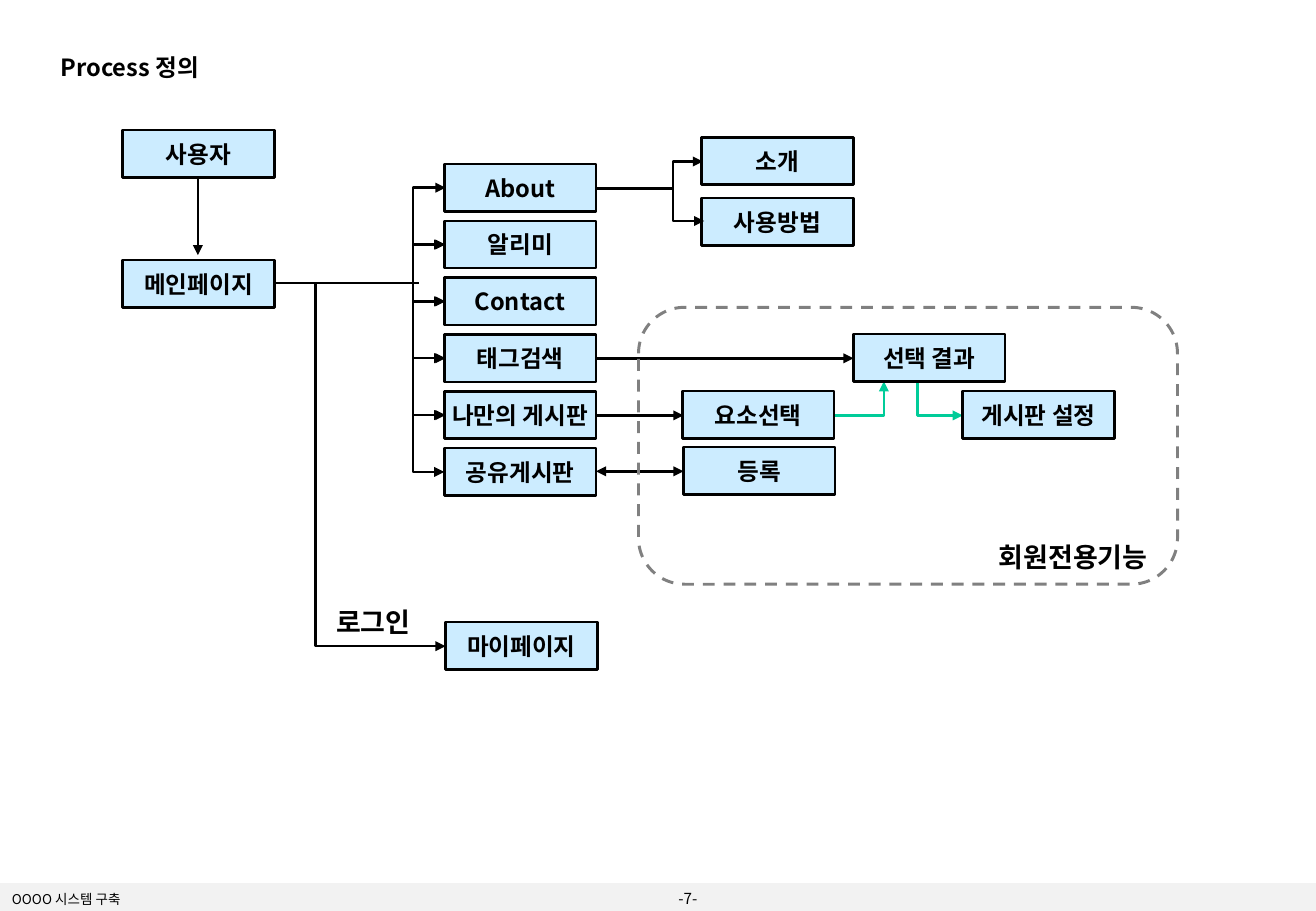
from lxml import etree
from pptx import Presentation
from pptx.dml.color import RGBColor
from pptx.enum.dml import MSO_LINE
from pptx.enum.shapes import MSO_CONNECTOR as CONN, MSO_SHAPE as SHAPE
from pptx.enum.text import MSO_ANCHOR, PP_ALIGN
from pptx.oxml.ns import qn
from pptx.util import Inches, Pt

FONT = "Noto Sans CJK KR"
BLACK, GREEN, GREY = "000000", "00CC99", "808080"
BOX_FILL, FOOTER_FILL = "CCECFF", "F2F2F2"
BOX_W, BOX_H = 1.25, 0.39
MENU_X, MENU_Y, MENU_STEP = 3.66, 1.35, 0.468
TRUNK_X = 3.4

MENU = ["About", "알리미", "Contact", "태그검색", "나만의 게시판", "공유게시판"]

# text, left, top
BOXES = [
    ("사용자", 1.01, 1.07),
    ("메인페이지", 1.01, 2.14),
    ("소개", 5.78, 1.13),
    ("사용방법", 5.78, 1.63),
    ("선택 결과", 7.03, 2.75),
    ("요소선택", 5.62, 3.22),
    ("게시판 설정", 7.93, 3.22),
    ("등록", 5.63, 3.68),
    ("마이페이지", 3.67, 5.12),
] + [(name, MENU_X, MENU_Y + i * MENU_STEP) for i, name in enumerate(MENU)]

# text, left, top, width, height, size, bold, anchor
LABELS = [
    ("Process 정의", 0.4, 0.39, 1.39, 0.34, 14, True, MSO_ANCHOR.TOP),
    ("로그인", 2.67, 4.94, 0.81, 0.37, 16, True, MSO_ANCHOR.TOP),
    ("회원전용기능", 8.13, 4.4, 1.42, 0.37, 16, True, MSO_ANCHOR.TOP),
    ("-7-", 5.49, 7.29, 0.47, 0.21, 9, False, MSO_ANCHOR.MIDDLE),
    ("OOOO 시스템 구축", 0, 7.3, 4.88, 0.21, 8, False, MSO_ANCHOR.MIDDLE),
]

# start, end, arrowheads
STRAIGHT = [
    ((1.63, 1.46), (1.63, 2.1), "tail"),
    ((2.26, 2.33), (3.45, 2.33), ""),
    ((4.91, 1.55), (5.54, 1.55), ""),
    ((4.91, 2.95), (7.03, 2.95), "tail"),
    ((4.91, 3.42), (5.63, 3.42), "tail"),
    ((4.91, 3.88), (5.63, 3.88), "head tail"),
]

# start, end, x of the upright part
menu_mids = [MENU_Y + i * MENU_STEP + BOX_H / 2 for i in range(len(MENU))]
BRACKETS = [((MENU_X + 0.01, upper), (MENU_X, lower), TRUNK_X)
            for upper, lower in zip(menu_mids, menu_mids[1:])]
BRACKETS.append(((5.8, 1.82), (5.79, 1.33), 5.54))


def rgb(value):
    return RGBColor.from_string(value)


def write(shape, text, size, bold, anchor, align):
    tf = shape.text_frame
    tf.word_wrap = False
    tf.vertical_anchor = anchor
    p = tf.paragraphs[0]
    p.text = text
    p.alignment = align
    font = p.font
    font.name, font.size, font.bold = FONT, Pt(size), bold
    font.color.rgb = rgb(BLACK)
    etree.SubElement(font._element, qn("a:ea"), typeface=FONT)


def add_block(kind, x, y, w, h, fill=None, line=None, width=1.5):
    block = s.shapes.add_shape(kind, Inches(x), Inches(y), Inches(w), Inches(h))
    block.shadow.inherit = False
    if fill:
        block.fill.solid()
        block.fill.fore_color.rgb = rgb(fill)
    else:
        block.fill.background()
    if line:
        block.line.color.rgb = rgb(line)
        block.line.width = Pt(width)
    else:
        block.line.fill.background()
    return block


def link(start, end, arrows, color=BLACK, bend_x=None):
    """Draw a connector; bend_x is where an elbow turns, at end's x for a single turn."""
    kind = CONN.STRAIGHT if bend_x is None else CONN.ELBOW
    c = s.shapes.add_connector(kind, *map(Inches, start + end))
    c.line.color.rgb = rgb(color)
    c.line.width = Pt(1.5)
    ln = c.line._ln
    for side in arrows.split():
        etree.SubElement(ln, qn(f"a:{side}End"), type="triangle")
    etree.SubElement(c._element.spPr, qn("a:effectLst"))
    if bend_x is None:
        return
    geom = c._element.spPr.find(qn("a:prstGeom"))
    if bend_x == end[0]:
        geom.set("prst", "bentConnector2")
        return
    guides = geom.find(qn("a:avLst"))
    if guides is None:
        guides = etree.SubElement(geom, qn("a:avLst"))
    ratio = (bend_x - start[0]) / (end[0] - start[0])
    etree.SubElement(guides, qn("a:gd"), name="adj1", fmla=f"val {round(ratio * 100000)}")


prs = Presentation()
prs.slide_width, prs.slide_height = Inches(10.84), Inches(7.5)
s = prs.slides.add_slide(prs.slide_layouts[6])

add_block(SHAPE.RECTANGLE, 0, 7.27, 10.84, 0.23, FOOTER_FILL)

# The green links start behind their boxes
link((6.49, 3.42), (7.28, 3.14), "head tail", GREEN, 7.28)
link((7.19, 3.04), (7.93, 3.42), "head tail", GREEN, 7.56)

for text, x, y in BOXES:
    box = add_block(SHAPE.RECTANGLE, x, y, BOX_W, BOX_H, BOX_FILL, BLACK)
    write(box, text, 14, True, MSO_ANCHOR.MIDDLE, PP_ALIGN.CENTER)

for start, end, arrows in STRAIGHT:
    link(start, end, arrows)
for start, end, bend_x in BRACKETS:
    link(start, end, "head tail", bend_x=bend_x)
link((3.67, 5.32), (2.6, 2.33), "head", bend_x=2.6)

for text, x, y, w, h, size, bold, anchor in LABELS:
    label = s.shapes.add_textbox(Inches(x), Inches(y), Inches(w), Inches(h))
    write(label, text, size, bold, anchor, PP_ALIGN.LEFT)

members_area = add_block(SHAPE.ROUNDED_RECTANGLE, 5.26, 2.53, 4.44, 2.28, line=GREY, width=1.75)
members_area.line.dash_style = MSO_LINE.DASH

prs.save("out.pptx")
